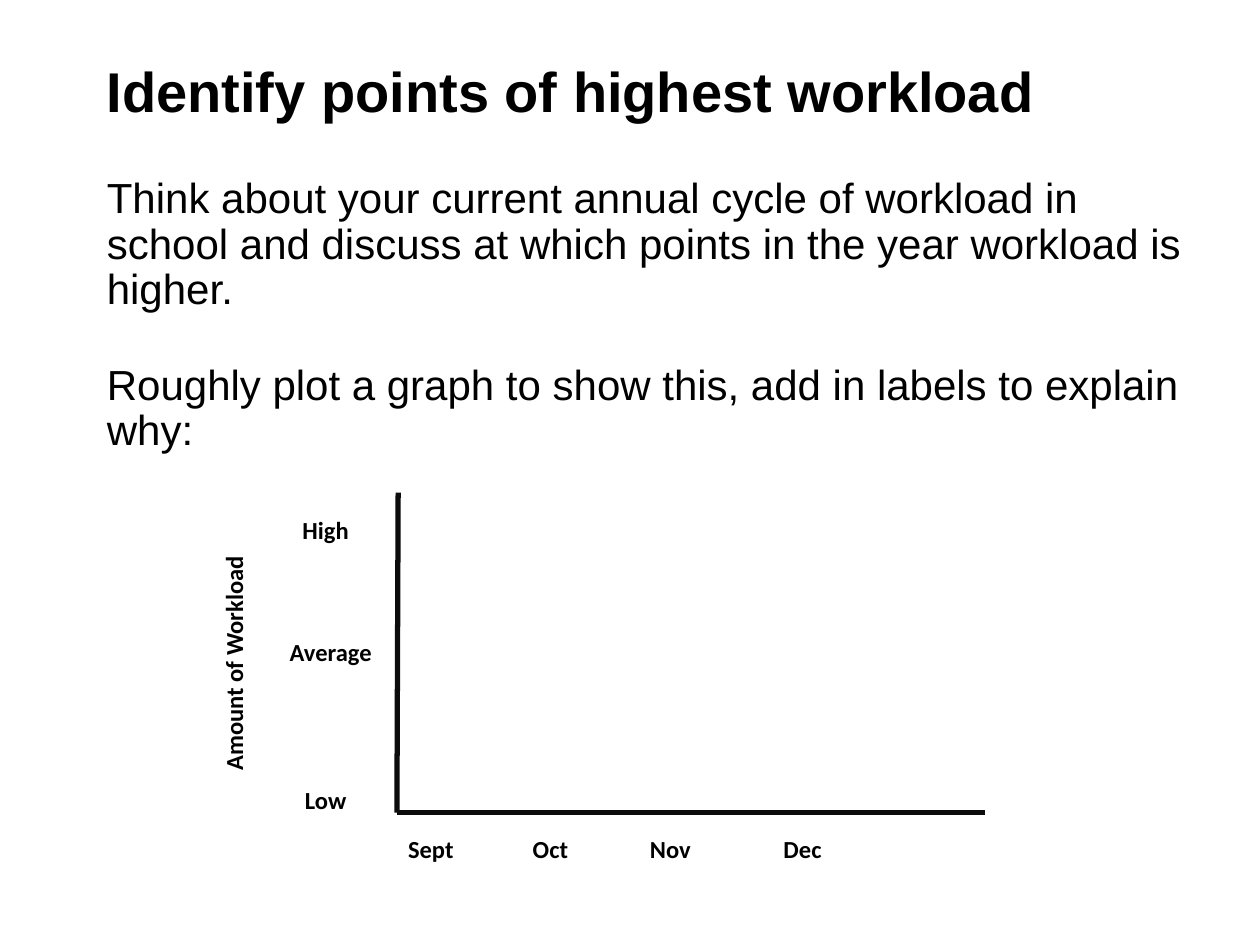
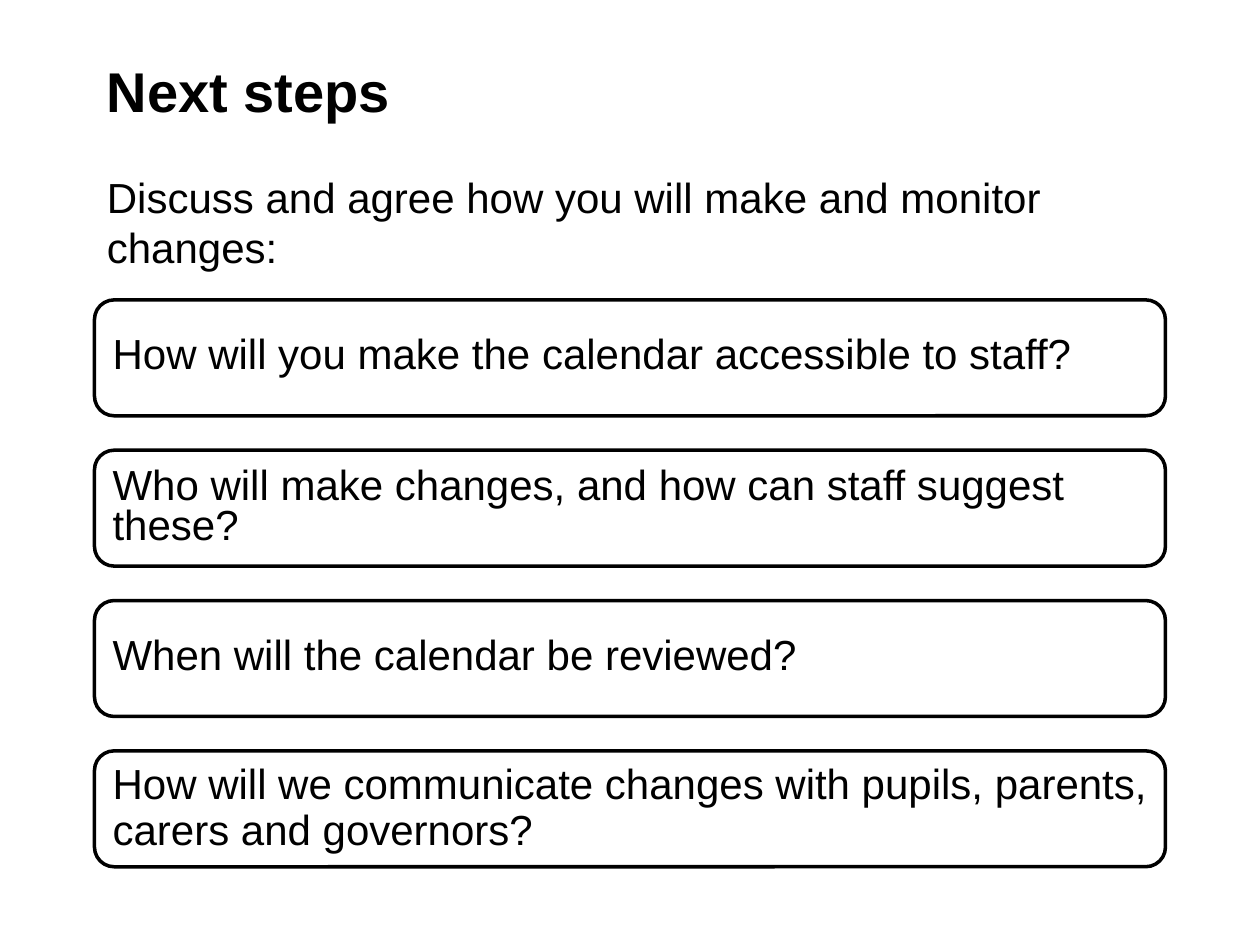
from lxml import etree
from pptx import Presentation
from pptx import util as u
from pptx.dml.color import RGBColor
from pptx.enum import shapes, text
from pptx.oxml.ns import qn

BLACK = RGBColor(0x00, 0x00, 0x00)
AXIS_BLACK = RGBColor(0x0C, 0x0C, 0x0C)
HEADING_FONT = "Arial"
LABEL_FONT = "Calibri"
CELL = u.Inches(0.1)
COLUMNS, ROWS = 100, 75
MARGIN = 7.5
CONTENT_WIDTH = COLUMNS - 2 * MARGIN


def grid(*cells):
    return [round(cell * CELL) for cell in cells]


def write(shape, *paragraphs, size=24, font=HEADING_FONT, bold=False,
          align=text.PP_ALIGN.LEFT, anchor=text.MSO_ANCHOR.TOP, spacing=1.0, after=0):
    frame = shape.text_frame
    frame.word_wrap = True
    frame.vertical_anchor = anchor
    for index, words in enumerate(paragraphs):
        paragraph = frame.add_paragraph() if index else frame.paragraphs[0]
        paragraph.alignment = align
        paragraph.line_spacing = spacing
        paragraph.space_after = u.Pt(after)
        run = paragraph.add_run()
        run.text = words
        run.font.size = u.Pt(size)
        run.font.name = font
        run.font.bold = bold
        run.font.color.rgb = BLACK


def add_text(parent, place, *paragraphs, rotation=0, **style):
    box = parent.shapes.add_textbox(*grid(*place))
    box.rotation = rotation
    write(box, *paragraphs, **style)


def add_label(parent, place, words, **style):
    add_text(parent, place, words, size=14, font=LABEL_FONT, bold=True, **style)


def add_axis(parent, start, end):
    axis = parent.shapes.add_connector(shapes.MSO_CONNECTOR.STRAIGHT, *grid(*start, *end))
    axis.line.color.rgb = AXIS_BLACK
    axis.line.width = u.Pt(3)
    etree.SubElement(axis._element.spPr, qn("a:effectLst"))


def add_question(slide, top, words, spacing):
    box = slide.shapes.add_shape(
        shapes.MSO_SHAPE.ROUNDED_RECTANGLE, *grid(MARGIN, top, CONTENT_WIDTH, 9.2))
    box.adjustments[0] = 0.17
    box.shadow.inherit = False
    box.fill.background()
    box.line.color.rgb = BLACK
    box.line.width = u.Pt(2)
    write(box, words, anchor=text.MSO_ANCHOR.MIDDLE, spacing=spacing)


def add_titled_slide(presentation, title):
    slide = presentation.slides.add_slide(presentation.slide_layouts[6])
    add_text(slide, (MARGIN, 3.6, CONTENT_WIDTH, 7.1), title,
             size=32, bold=True, anchor=text.MSO_ANCHOR.MIDDLE)
    return slide


def add_workload_graph(slide):
    graph = slide.shapes.add_group_shape()
    origin = (31.5, 64.5)
    add_axis(graph, (31.6, 39.1), origin)
    add_axis(graph, (78.2, 64.5), origin)
    center = text.PP_ALIGN.CENTER
    add_label(graph, (8.1, 50.3, 22.2, 4.7), "Amount of Workload", rotation=270, align=center)
    for level, left, top in (("High", 20.2, 40.4), ("Average", 20.6, 50.1), ("Low", 20.2, 61.8)):
        add_label(graph, (left, top, 11.3, 3.9), level, align=center)
    for month, left in (("Sept", 31.4), ("Oct", 41.3), ("Nov", 50.6), ("Dec", 61.2)):
        add_label(graph, (left, 65.6, 7.6, 3.4), month, anchor=text.MSO_ANCHOR.BOTTOM)


def build_workload_slide(presentation):
    slide = add_titled_slide(presentation, "Identify points of highest workload")
    add_text(slide, (MARGIN, 13.6, 87.4, 25.5),
             "Think about your current annual cycle of workload in school and discuss "
             "at which points in the year workload is higher.",
             "Roughly plot a graph to show this, add in labels to explain why:",
             spacing=0.9, after=29)
    add_workload_graph(slide)


def build_next_steps_slide(presentation):
    slide = add_titled_slide(presentation, "Next steps")
    add_text(slide, (MARGIN, 13.1, CONTENT_WIDTH, 10.2),
             "Discuss and agree how you will make and monitor changes:", after=6)
    questions = (
        ("How will you make the calendar accessible to staff?", 0.8),
        ("Who will make changes, and how can staff suggest these?", 0.8),
        ("When will the calendar be reviewed?", 0.8),
        ("How will we communicate changes with pupils, parents, carers and governors?", 0.9),
    )
    for row, (words, spacing) in enumerate(questions):
        add_question(slide, 23.8 + row * 11.93, words, spacing)


def main():
    presentation = Presentation()
    presentation.slide_width, presentation.slide_height = grid(COLUMNS, ROWS)
    build_workload_slide(presentation)
    build_next_steps_slide(presentation)
    presentation.save("out.pptx")


if __name__ == "__main__":
    main()
